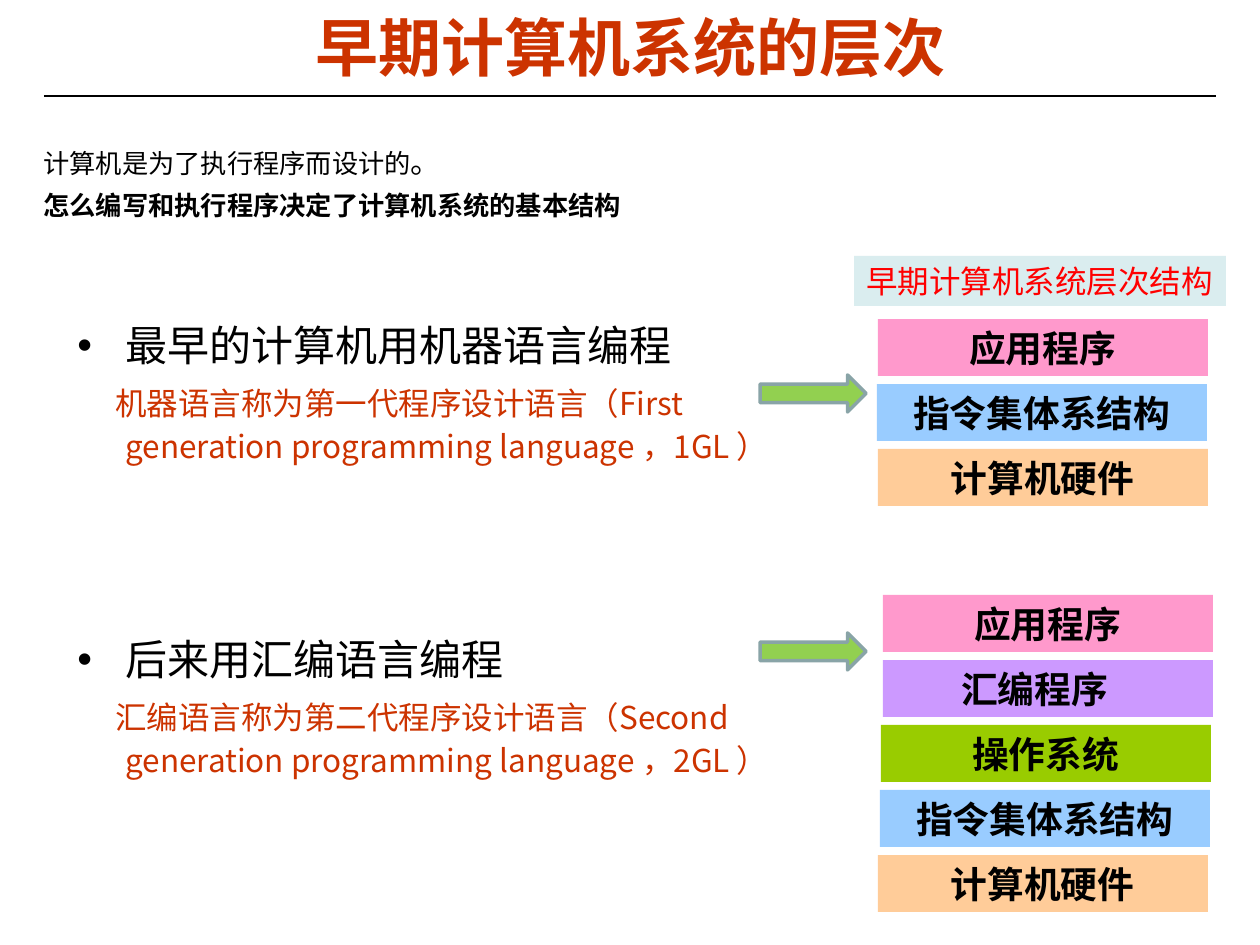
from lxml.etree import SubElement
from pptx import Presentation
from pptx.dml.color import RGBColor
from pptx.enum.shapes import MSO_CONNECTOR, MSO_SHAPE
from pptx.enum.text import MSO_ANCHOR, PP_ALIGN
from pptx.oxml.ns import qn
from pptx.util import Pt

PX = 914400 / 126
NOTO = "Noto Sans CJK SC"
ARIAL = "Arial"
BLACK = RGBColor(0x00, 0x00, 0x00)
WHITE = RGBColor(0xFF, 0xFF, 0xFF)
RUST = RGBColor(0xCC, 0x33, 0x00)
RED = RGBColor(0xFF, 0x00, 0x00)
PALE = RGBColor(0xDA, 0xED, 0xEF)
PINK = RGBColor(0xFF, 0x99, 0xCC)
BLUE = RGBColor(0x99, 0xCC, 0xFF)
PEACH = RGBColor(0xFF, 0xCC, 0x99)
PURPLE = RGBColor(0xCC, 0x99, 0xFF)
LIME = RGBColor(0x99, 0xCC, 0x00)
GREEN = RGBColor(0x92, 0xD0, 0x50)
GREY = RGBColor(0x89, 0xA4, 0xA7)
APP = ("应用程序", PINK)
ISA = ("指令集体系结构", BLUE)
HARD = ("计算机硬件", PEACH)


def px(*nums):
    """Turn px lengths into EMU."""
    return [round(n * PX) for n in nums]


def write(frame, text, size=18, color=BLACK, font=NOTO, bold=False,
          align=PP_ALIGN.LEFT, line=None, before=None, hang=None,
          bullet=False, join=False):
    """Add text to a frame as a new paragraph, or join it to the last one."""
    para = frame.paragraphs[-1]
    if para.runs and not join:
        para = frame.add_paragraph()
    if not join:
        para.alignment = align
        if line:
            para.line_spacing = line
        if before:
            para.space_before = Pt(before)
        props = para._p.get_or_add_pPr()
        if hang:
            left, first = px(*hang)
            props.set("marL", str(left))
            props.set("indent", str(first))
        if bullet:
            SubElement(props, qn("a:buFont")).set("typeface", ARIAL)
            SubElement(props, qn("a:buChar")).set("char", "•")
    run = para.add_run()
    run.text = text
    run.font.size = Pt(size)
    run.font.bold = bold
    run.font.name = font
    run.font.color.rgb = color
    SubElement(run._r.get_or_add_rPr(), qn("a:ea")).set("typeface", NOTO)


def shape(slide, kind, box, fill):
    """Add a flat shape without an outline."""
    item = slide.shapes.add_shape(kind, *px(*box))
    item.shadow.inherit = False
    item.fill.solid()
    item.fill.fore_color.rgb = fill
    item.line.fill.background()
    item.text_frame.vertical_anchor = MSO_ANCHOR.MIDDLE
    return item


def header(slide, x, y, w, h):
    """Place the title and the rule below it."""
    title = slide.shapes.title
    title.left, title.top, title.width, title.height = px(x + 19, y, w - 38, h)
    title.text_frame.vertical_anchor = MSO_ANCHOR.MIDDLE
    write(title.text_frame, "早期计算机系统的层次", size=36, color=RUST,
          bold=True, align=PP_ALIGN.CENTER)
    low = y + h + 11
    rule = slide.shapes.add_connector(
        MSO_CONNECTOR.STRAIGHT, *px(x, low, x + w, low))
    rule.line.color.rgb = BLACK
    rule.line.width = Pt(0.75)
    SubElement(rule._element.spPr, qn("a:effectLst"))


def intro(slide, *box):
    """Place the two opening sentences."""
    frame = shape(slide, MSO_SHAPE.RECTANGLE, box, WHITE).text_frame
    frame.word_wrap = True
    write(frame, "计算机是为了执行程序而设计的", size=15, line=1.3)
    write(frame, "。", size=17.5, join=True)
    write(frame, "怎么编写和执行程序决定了计算机系统的基本结构", size=15,
          bold=True, line=1.3)


def topic(slide, x, y, w, h, head, note):
    """Place a bulleted point with its note."""
    frame = slide.shapes.add_textbox(*px(x, y, w, h)).text_frame
    frame.word_wrap = True
    write(frame, head, size=24, line=1.15, hang=(48, -48), bullet=True)
    write(frame, note, color=RUST, line=1.15, before=4.5, hang=(48, -10))


def arrow(slide, *box):
    """Place an arrow pointing to a stack."""
    item = shape(slide, MSO_SHAPE.RIGHT_ARROW, box, GREEN)
    item.line.color.rgb = GREY
    item.line.width = Pt(2)


def banner(slide, *box):
    """Place the caption above the stacks."""
    frame = shape(slide, MSO_SHAPE.RECTANGLE, box, PALE).text_frame
    frame.word_wrap = False
    write(frame, "早期计算机系统层次结构", color=RED, font=ARIAL)


def stack(slide, x, y, w, h, layers, shifts, pads):
    """Place layers from top to bottom at an equal pitch."""
    for row, ((text, fill), shift, pad) in enumerate(zip(layers, shifts, pads)):
        box = (x + shift, y + row * (h + 8), w, h)
        frame = shape(slide, MSO_SHAPE.RECTANGLE, box, fill).text_frame
        frame.margin_top = frame.margin_bottom = 0
        frame.margin_right = px(13 + pad)[0]
        write(frame, text, size=21, font=ARIAL, bold=True,
              align=PP_ALIGN.CENTER)


def main():
    """Build and save the slide."""
    deck = Presentation()
    deck.slide_width, deck.slide_height = px(1260, 945)
    slide = deck.slides.add_slide(deck.slide_layouts[5])
    header(slide, 44, 8, 1172, 77)
    intro(slide, 31, 125, 1196, 103)
    topic(slide, 65, 306, 776, 190, "最早的计算机用机器语言编程",
          "机器语言称为第一代程序设计语言（First generation programming language ，1GL ）")
    topic(slide, 65, 620, 776, 190, "后来用汇编语言编程",
          "汇编语言称为第二代程序设计语言（Second generation programming language ，2GL ）")
    banner(slide, 854, 256, 372, 50)
    stack(slide, 878, 319, 330, 57, [APP, ISA, HARD], [0, -1, 0], [0] * 3)
    stack(slide, 878, 595, 330, 57,
          [APP, ("汇编程序", PURPLE), ("操作系统", LIME), ISA, HARD],
          [5, 5, 3, 2, 0], [0, 26, 0, 0, 0])
    for top in (375, 633):
        arrow(slide, 760, top, 106, 37)
    deck.save("out.pptx")


if __name__ == "__main__":
    main()
